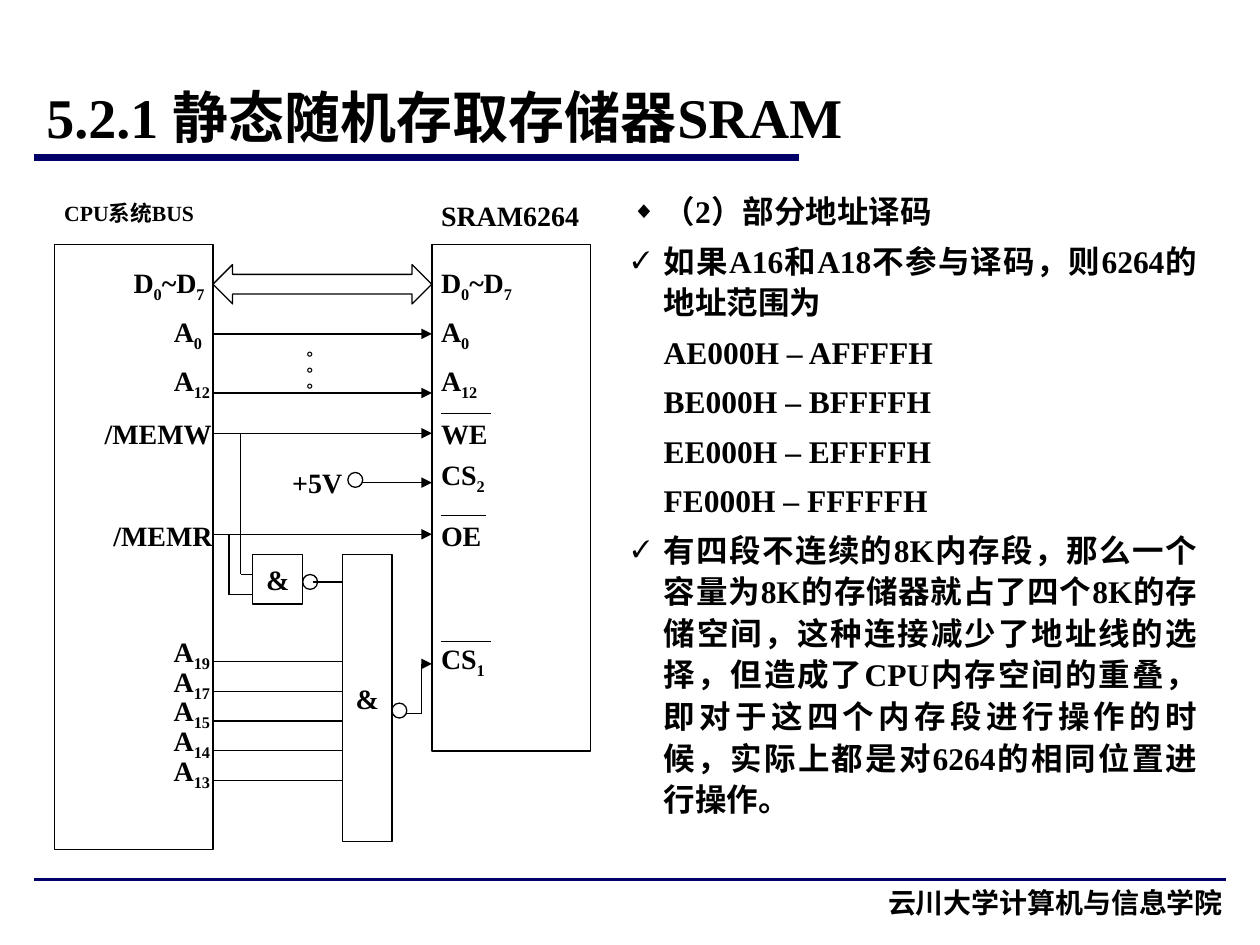
from lxml.etree import SubElement
from pptx import Presentation
from pptx.dml.color import RGBColor
from pptx.enum.shapes import MSO_CONNECTOR, MSO_SHAPE as SHAPE
from pptx.enum.text import MSO_ANCHOR as ANCHOR, PP_ALIGN as ALIGN
from pptx.oxml.ns import qn
from pptx.util import Pt

COLORS = {"ink": "000000", "rule": "000066"}
LATIN, CJK = "Times New Roman", "Noto Sans CJK SC"


def color(name):
    return RGBColor.from_string(COLORS[name])


def add_run(paragraph, text, size, font=LATIN, subscript=False):
    run = paragraph.add_run()
    run.text = text
    run.font.size, run.font.bold, run.font.name = Pt(size), True, font
    run.font.color.rgb = color("ink")
    properties = run._r.get_or_add_rPr()
    SubElement(properties, qn("a:ea")).set("typeface", CJK)
    if subscript:
        properties.set("baseline", "-25000")


def set_frame(frame, anchor, inset_x=0, inset_y=0):
    frame.word_wrap = True
    frame.vertical_anchor = anchor
    frame.margin_left = frame.margin_right = Pt(inset_x)
    frame.margin_top = frame.margin_bottom = Pt(inset_y)


def add_text_box(slide, box, anchor, inset_x=0, inset_y=0):
    frame = slide.shapes.add_textbox(*map(Pt, box)).text_frame
    set_frame(frame, anchor, inset_x, inset_y)
    return frame


def add_line(slide, start, end, width=0.75, ink="ink", arrow=False):
    line = slide.shapes.add_connector(
        MSO_CONNECTOR.STRAIGHT, *map(Pt, (*start, *end)))
    line.line.color.rgb = color(ink)
    line.line.width = Pt(width)
    if arrow:
        SubElement(line.line._get_or_add_ln(), qn("a:tailEnd")).set("type", "triangle")
    SubElement(line._element.spPr, qn("a:effectLst"))


def add_outline(slide, kind, box, text=""):
    shape = slide.shapes.add_shape(kind, *map(Pt, box))
    shape.shadow.inherit = False
    shape.fill.background()
    shape.line.color.rgb = color("ink")
    shape.line.width = Pt(0.75)
    if text:
        set_frame(shape.text_frame, ANCHOR.MIDDLE)
        paragraph = shape.text_frame.paragraphs[0]
        paragraph.alignment = ALIGN.CENTER
        add_run(paragraph, text, 16)
    return shape


def add_title(slide, left, top, width, height):
    add_line(slide, (left, top + 52.5), (left + 437, top + 52.5), 4, "rule")
    frame = add_text_box(slide, (left, top, width, height), ANCHOR.MIDDLE, 7.2, 3.6)
    add_run(frame.paragraphs[0], "5.2.1 静态随机存取存储器SRAM", 32)


def add_footer(slide, left, top, width, height):
    add_line(slide, (left, top), (left + width, top), 2, "rule")
    box = (left + width - 289.5, top, 295, height)
    paragraph = add_text_box(slide, box, ANCHOR.TOP, 7.2, 3.6).paragraphs[0]
    paragraph.alignment = ALIGN.RIGHT
    add_run(paragraph, "云川大学计算机与信息学院", 16, CJK)


def add_decoder_diagram(slide, left, top):
    bus_edge, ram_edge, pin_x, gate_x = 90.7, 215.8, 221, 164.8
    clock_y = {"write": 136, "read": 193.7}

    def at(x, y):
        return left + x, top + y

    def label(text, x, y, width=36, height=22.5):
        """Write a label in which every second part between bars is a subscript."""
        frame = add_text_box(slide, (*at(x, y), width, height), ANCHOR.MIDDLE)
        for index, part in enumerate(text.split("|")):
            add_run(frame.paragraphs[0], part, 16, subscript=index % 2 == 1)

    def wire(*points, arrow=False):
        for index, (start, end) in enumerate(zip(points, points[1:])):
            last = index == len(points) - 2
            add_line(slide, at(*start), at(*end), arrow=arrow and last)

    def outline(kind, x, y, width, height, text=""):
        return add_outline(slide, kind, (*at(x, y), width, height), text)

    # Bus and memory blocks
    outline(SHAPE.RECTANGLE, 0, 28.2, bus_edge, 345.6)
    outline(SHAPE.RECTANGLE, ram_edge, 28.2, 90.7, 289.4)
    label("SRAM6264", pin_x, 0, 90)
    heading = add_text_box(slide, (*at(5.7, 0), 90, 22.5), ANCHOR.MIDDLE).paragraphs[0]
    heading.line_spacing = 0.8
    for text, font in (("CPU", LATIN), ("系统", CJK), ("BUS", LATIN)):
        add_run(heading, text, 12.4, font)

    # Data bus
    arrow = outline(SHAPE.LEFT_RIGHT_ARROW, bus_edge, 39.6, 125, 22.5)
    arrow.adjustments[0] = 0.5
    arrow.adjustments[1] = 0.5

    # Labels: text, x on the bus side, y
    for text, x, y in (("D|0|~D|7", 45.3, 39.6), ("A|0", 68.3, 67.7),
                       ("A|12", 68.3, 95.8), ("/MEMW", 28.8, 124.6),
                       ("/MEMR", 33.8, 182.9)):
        label(text, x, y, 74)
    for text, y in (("D|0|~D|7", 39.6), ("A|0", 67.7), ("A|12", 95.8),
                    ("WE", 124.6), ("CS|2", 149.6), ("OE", 182.9), ("CS|1", 254.9)):
        label(text, pin_x, y, 57)
    for y, width in ((124.6, 28.5), (182.9, 26), (254.9, 28.5)):
        wire((pin_x, y), (pin_x + width, y))
    for y in (79.2, 113, *clock_y.values()):
        wire((bus_edge, y), (ram_edge, y), arrow=True)

    dots = add_text_box(slide, (*at(130.3, 85), 28, 28), ANCHOR.MIDDLE)
    dots._txBody.bodyPr.set("vert", "eaVert")
    add_run(dots.paragraphs[0], "。。。", 16, subscript=True)

    # Supply for CS2
    label("+5V", 136, 152.6)
    outline(SHAPE.OVAL, 167.8, 158.4, 8.5, 8.5)
    wire((175.7, 164.2), (ram_edge, 164.2), arrow=True)

    # Small gate
    wire((106.5, clock_y["write"]), (106.5, 216.7), (113.8, 216.7))
    wire((99.8, clock_y["read"]), (99.8, 228.2), (113.8, 228.2))
    outline(SHAPE.RECTANGLE, 113.5, 205.2, 28.4, 28.4, "&")
    outline(SHAPE.OVAL, 142, 216.7, 8.5, 8.5)
    wire((147.6, 221), (gate_x, 221))

    # Large gate
    for index, number in enumerate((19, 17, 15, 14, 13)):
        offset = 17 * index
        label(f"A|{number}", 68.3, 250.6 + offset)
        wire((bus_edge, 266.4 + offset), (gate_x, 266.4 + offset))
    outline(SHAPE.RECTANGLE, gate_x, 205.2, 28.3, 164.2, "&")
    outline(SHAPE.OVAL, 193, 290.2, 8.5, 8.5)
    wire((201, 296), (210, 296), (210, 267.8), (ram_edge, 267.8), arrow=True)


def add_explanation(slide, left, top, width, height):
    lines = (
        ("◆", "（2）部分地址译码"),
        ("✓", "如果A16和A18不参与译码，则6264的地址范围为"),
        (None, "AE000H – AFFFFH"),
        (None, "BE000H – BFFFFH"),
        (None, "EE000H – EFFFFH"),
        (None, "FE000H – FFFFFH"),
        ("✓", "有四段不连续的8K内存段，那么一个容量为8K的存储器就占了四个8K的存储空间，"
              "这种连接减少了地址线的选择，但造成了CPU内存空间的重叠，即对于这四个内存段"
              "进行操作的时候，实际上都是对6264的相同位置进行操作。"),
    )
    frame = add_text_box(slide, (left, top, width, height), ANCHOR.TOP, 7.2, 3.6)
    for index, (bullet, text) in enumerate(lines):
        paragraph = frame.add_paragraph() if index else frame.paragraphs[0]
        paragraph.alignment = ALIGN.JUSTIFY
        paragraph.line_spacing = 1.1
        paragraph.space_before = Pt(4.5)
        properties = paragraph._p.get_or_add_pPr()
        properties.set("marL", str(Pt(18)))
        properties.set("indent", str(Pt(-18 if bullet else 0)))
        properties.set("hangingPunct", "0")
        if bullet:
            bullet_color = SubElement(properties, qn("a:buClr"))
            SubElement(bullet_color, qn("a:srgbClr")).set("val", COLORS["ink"])
            SubElement(properties, qn("a:buSzPct")).set("val", "75000")
            SubElement(properties, qn("a:buFont")).set("typeface", LATIN)
            SubElement(properties, qn("a:buChar")).set("char", bullet)
        add_run(paragraph, text, 18)


def main():
    presentation = Presentation()
    presentation.slide_width, presentation.slide_height = Pt(720), Pt(540)
    slide = presentation.slides.add_slide(presentation.slide_layouts[6])
    add_title(slide, 19.5, 37.5, 629, 57.5)
    add_footer(slide, 19.5, 502.5, 681, 37.5)
    add_decoder_diagram(slide, 31, 111.6)
    add_explanation(slide, 354.2, 104.3, 337, 380)
    presentation.save("out.pptx")


if __name__ == "__main__":
    main()
